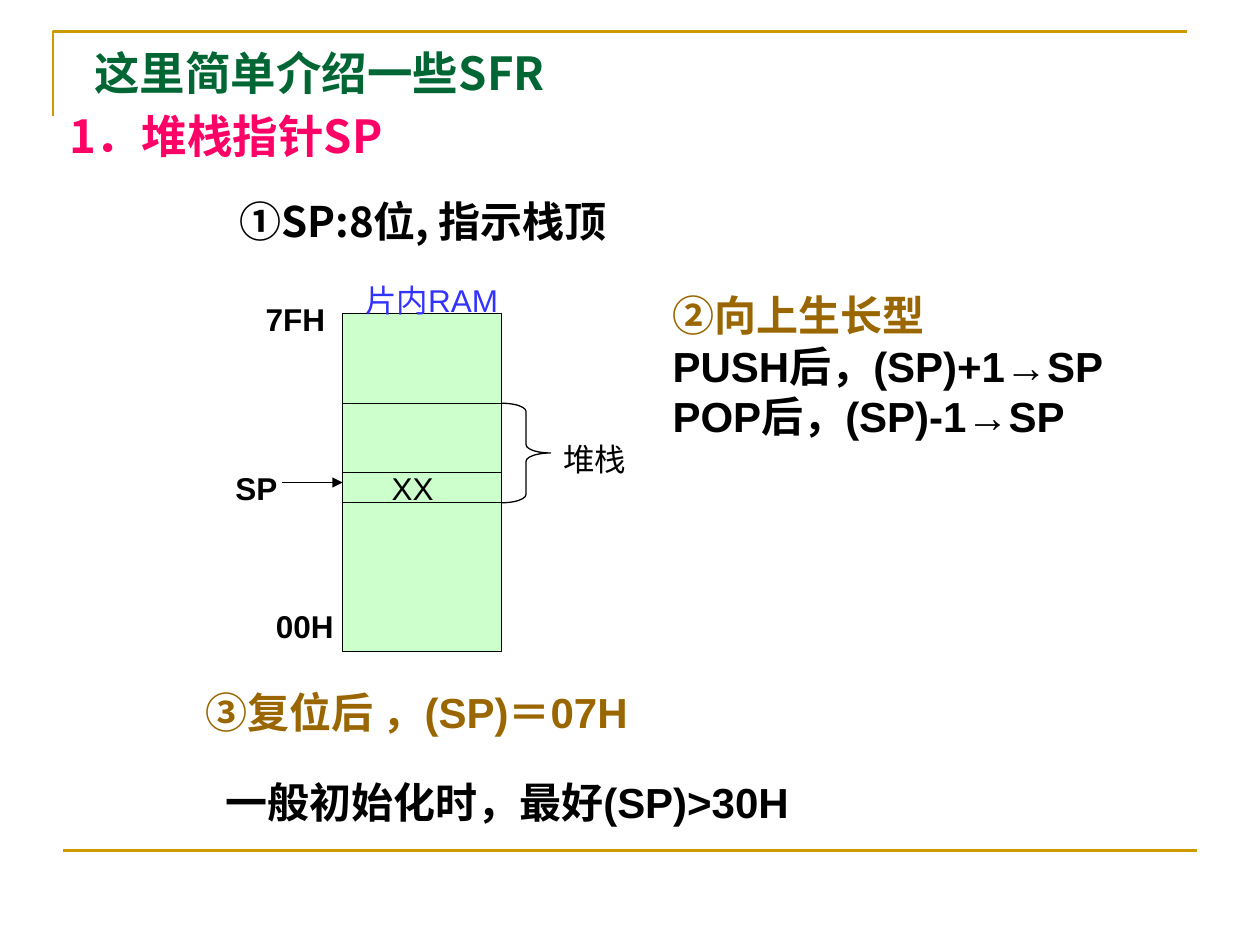
from dataclasses import dataclass

from lxml import etree
from pptx import Presentation
from pptx.dml.color import RGBColor
from pptx.enum.shapes import MSO_CONNECTOR, MSO_SHAPE
from pptx.oxml.ns import qn
from pptx.util import Inches, Pt

STRAIGHT = MSO_CONNECTOR.STRAIGHT
RECTANGLE = MSO_SHAPE.RECTANGLE
RIGHT_BRACE = MSO_SHAPE.RIGHT_BRACE


@dataclass(frozen=True)
class Theme:
    latin: str = "Arial"
    cjk: str = "Noto Sans CJK SC"
    heading: int = 26
    body: int = 24
    label: int = 18
    ink: str = "000000"
    gold: str = "CC9900"
    green: str = "006633"
    pink: str = "FF0066"
    brown: str = "996600"
    blue: str = "3333FF"
    memory: str = "CCFFCC"
    frame_width: float = 1.5
    thin_width: float = 0.75


THEME = Theme()
WIDTH, HEIGHT = 10, 7.5


@dataclass(frozen=True)
class Box:
    left: float
    top: float
    width: float
    height: float

    def x(self, share):
        return self.left + share * self.width

    def y(self, share):
        return self.top + share * self.height

    def inches(self):
        return [Inches(v) for v in (self.left, self.top, self.width, self.height)]


def style_line(shape, color, width):
    shape.line.color.rgb = RGBColor.from_string(color)
    shape.line.width = Pt(width)


def add_line(slide, start, end, color=THEME.ink, width=THEME.thin_width, arrow=False):
    line = slide.shapes.add_connector(STRAIGHT, *[Inches(v) for v in (*start, *end)])
    style_line(line, color, width)
    if arrow:
        etree.SubElement(line.line._get_or_add_ln(), qn("a:tailEnd"), type="triangle")
    etree.SubElement(line._element.spPr, qn("a:effectLst"))


def add_text(slide, box, paragraphs, size=THEME.body, bold=True, spacing=1.0):
    """Each paragraph is a list of (text, colour, latin font) runs."""
    frame = slide.shapes.add_textbox(*box.inches()).text_frame
    frame.word_wrap = True
    for index, runs in enumerate(paragraphs):
        paragraph = frame.add_paragraph() if index else frame.paragraphs[0]
        paragraph.line_spacing = spacing
        for text, color, font in runs:
            run = paragraph.add_run()
            run.text = text
            run.font.size = Pt(size)
            run.font.bold = bold
            run.font.color.rgb = RGBColor.from_string(color)
            run.font.name = font
            etree.SubElement(run._r.get_or_add_rPr(), qn("a:ea"), typeface=THEME.cjk)
    return frame


def add_label(slide, left, top, width, text, color=THEME.ink, bold=False):
    add_text(slide, Box(left, top, width, 0.4), [[(text, color, THEME.latin)]],
             THEME.label, bold)


def draw_frame(slide, box):
    # Corner rule at the top left, with a closing rule at the foot
    builder = slide.shapes.build_freeform(Inches(box.left), Inches(box.top + 0.67),
                                          scale=1.0)
    builder.add_line_segments([(Inches(box.left), Inches(box.top)),
                               (Inches(box.x(1)), Inches(box.top))], close=False)
    corner = builder.convert_to_shape()
    corner.fill.background()
    corner.shadow.inherit = False
    style_line(corner, THEME.gold, THEME.frame_width)
    foot, shift = box.y(1), 0.08
    add_line(slide, (box.left + shift, foot), (box.x(1) + shift, foot),
             THEME.gold, THEME.frame_width)


def draw_heading(slide, box):
    frame = add_text(slide, box, [
        [("这里简单介绍一些SFR", THEME.green, THEME.cjk)],
        [("1．堆栈指针SP", THEME.pink, THEME.cjk)],
    ], THEME.heading, spacing=0.9)
    intro, topic = frame.paragraphs
    intro._p.get_or_add_pPr().set("marL", str(Inches(0.38)))
    topic._p.get_or_add_pPr().set("marL", str(Inches(0.18)))
    topic.space_before = Pt(7.5)


def draw_notes(slide, box):
    # Statements around the memory diagram
    latin, cjk = THEME.latin, THEME.cjk
    add_text(slide, Box(box.x(0.18), box.y(0.2), 5.8, 0.5),
             [[("①SP:8位, 指示栈顶", THEME.ink, cjk)]])
    add_text(slide, Box(box.x(0.524), box.y(0.3), 3.7, 1.7), [
        [("②", THEME.brown, cjk), ("向上生长型", THEME.brown, latin)],
        [("PUSH后，(SP)+1→SP", THEME.ink, latin)],
        [("POP后，(SP)-1→SP", THEME.ink, latin)],
    ])
    add_text(slide, Box(box.x(0.153), box.y(0.72), 4.73, 0.5),
             [[("③", THEME.brown, cjk), ("复位后 ，(SP)＝07H", THEME.brown, latin)]])
    add_text(slide, Box(box.x(0.169), box.y(0.815), 6, 0.5),
             [[("一般初始化时，最好(SP)>30H", THEME.ink, latin)]])


def draw_memory(slide, box):
    # RAM column and its dividers
    column = slide.shapes.add_shape(RECTANGLE, *box.inches())
    column.shadow.inherit = False
    column.fill.solid()
    column.fill.fore_color.rgb = RGBColor.from_string(THEME.memory)
    style_line(column, THEME.ink, THEME.thin_width)
    right = box.x(1)
    stack_top, cell_top, stack_bottom = [box.y(share) for share in (0.265, 0.47, 0.56)]
    for level in (stack_top, cell_top, stack_bottom):
        add_line(slide, (box.left, level), (right, level))

    # Addresses, pointer and cell value
    add_label(slide, box.left - 0.71, box.top - 0.16, 0.71, "7FH", bold=True)
    add_label(slide, box.left - 0.63, box.y(1) - 0.4, 0.71, "00H", bold=True)
    label_top = cell_top - 0.08
    add_label(slide, box.left - 0.95, label_top, 0.71, "SP", bold=True)
    pointer = cell_top + 0.08
    add_line(slide, (box.left - 0.48, pointer), (box.left, pointer), arrow=True)
    add_label(slide, box.left + 0.29, label_top, 0.88, "XX")
    add_label(slide, box.left + 0.08, box.top - 0.31, 1.42, "片内RAM", THEME.blue)

    # Brace over the stack area
    extent = Box(right, stack_top, 0.39, stack_bottom - stack_top)
    brace = slide.shapes.add_shape(RIGHT_BRACE, *extent.inches())
    brace.adjustments[0] = 0.17
    brace.shadow.inherit = False
    brace.fill.background()
    style_line(brace, THEME.ink, THEME.thin_width)
    add_label(slide, extent.x(1), extent.y(0.5) - 0.15, 0.71, "堆栈")

    # XX sits inside the column, so its box is indented to centre the value
    slide.shapes[-4].left = Inches(box.left + 0.29)


def main():
    deck = Presentation()
    deck.slide_width, deck.slide_height = Inches(WIDTH), Inches(HEIGHT)
    slide = deck.slides.add_slide(deck.slide_layouts[6])
    draw_frame(slide, Box(0.42, 0.25, 9, 6.5))
    draw_heading(slide, Box(0.27, 0.36, 9.42, 1.18))
    draw_notes(slide, Box(0, 0, WIDTH, HEIGHT))
    draw_memory(slide, Box(2.72, 2.49, 1.26, 2.68))
    deck.save("out.pptx")


if __name__ == "__main__":
    main()
